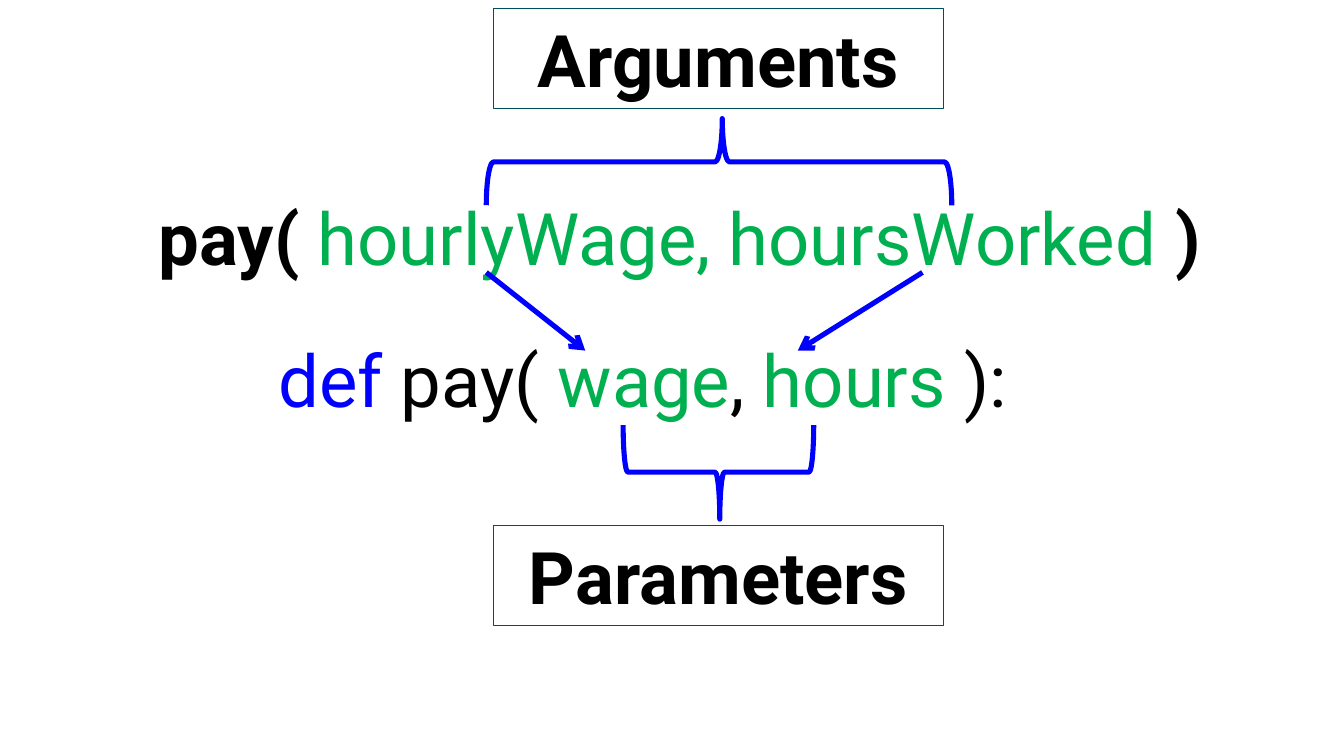
import pptx
import pptx.util
import pptx.dml.color
import pptx.enum.shapes
import pptx.enum.text
import pptx.oxml.ns
from lxml import etree
from pptx.util import Inches

BLUE, GREEN, BLACK, TEAL = "0000FF", "00B050", "000000", "024F59"


def color(code):
    return pptx.dml.color.RGBColor.from_string(code)


class Deck:
    """Holds the text style and the slide being drawn."""

    font, size, stroke = "Roboto", 42.7, 3

    def __init__(self, wide, high):
        self.prs = pptx.Presentation()
        self.prs.slide_width = Inches(wide)
        self.prs.slide_height = Inches(high)
        self.slide = self.prs.slides.add_slide(self.prs.slide_layouts[6])
        self.shapes = self.slide.shapes

    def fill_text(self, frame, parts):
        """Fill a frame with runs given as (text, colour, bold)."""
        frame.word_wrap = True
        frame.auto_size = pptx.enum.text.MSO_AUTO_SIZE.SHAPE_TO_FIT_TEXT
        for text, code, bold in parts:
            run = frame.paragraphs[0].add_run()
            run.text = text
            run.font.name = self.font
            run.font.size = pptx.util.Pt(self.size)
            run.font.bold = bold
            run.font.color.rgb = color(code)

    def code(self, left, top, width, parts):
        box = self.shapes.add_textbox(
            Inches(left), Inches(top), Inches(width), Inches(0.82))
        self.fill_text(box.text_frame, parts)

    def outline(self, kind, left, top, width, height, code, weight):
        """Add an unfilled preset shape."""
        shape = self.shapes.add_shape(
            kind, Inches(left), Inches(top), Inches(width), Inches(height))
        shape.shadow.inherit = False
        shape.fill.background()
        shape.line.color.rgb = color(code)
        shape.line.width = pptx.util.Pt(weight)
        return shape

    def label(self, top, text):
        kind = pptx.enum.shapes.MSO_SHAPE.RECTANGLE
        box = self.outline(kind, 4.04, top, 3.68, 0.82, TEAL, 0.75)
        self.fill_text(box.text_frame, [(text, BLACK, True)])
        box.text_frame.paragraphs[0].alignment = pptx.enum.text.PP_ALIGN.CENTER

    def brace(self, left, top, width, height, turn, curve, point):
        """Add a brace lying on its side; left to height give its visible box."""
        kind = pptx.enum.shapes.MSO_SHAPE.RIGHT_BRACE
        shift = (width - height) / 2
        shape = self.outline(kind, left + shift, top - shift, height, width,
                             BLUE, self.stroke)
        shape.rotation = turn
        shape.adjustments[0] = curve
        shape.adjustments[1] = point

    def arrow(self, start, end):
        line = self.shapes.add_connector(
            pptx.enum.shapes.MSO_CONNECTOR.STRAIGHT,
            *(Inches(n) for n in start + end))
        line.line.color.rgb = color(BLUE)
        line.line.width = pptx.util.Pt(self.stroke)
        qn = pptx.oxml.ns.qn
        props = line._element.spPr
        etree.SubElement(props.find(qn("a:ln")), qn("a:tailEnd"), type="arrow")
        etree.SubElement(props, qn("a:effectLst"))


def main():
    deck = Deck(11, 6)
    deck.code(2.18, 2.69, 6.81, [
        ("def", BLUE, False), (" pay( ", BLACK, False),
        ("wage", GREEN, False), (", ", BLACK, False),
        ("hours ", GREEN, False), ("):", BLACK, False)])
    deck.code(1.2, 1.53, 9.11, [
        ("pay( ", BLACK, True),
        ("hourlyWage, hoursWorked ", GREEN, False), (")", BLACK, True)])
    deck.arrow((3.98, 2.23), (4.79, 2.87))
    deck.arrow((7.55, 2.23), (6.53, 2.87))
    deck.brace(3.98, 0.97, 3.81, 0.71, 270, 0.083, 0.507)
    deck.brace(5.1, 3.48, 1.56, 0.77, 90, 0.05, 0.493)
    deck.label(0.07, "Arguments")
    deck.label(4.3, "Parameters")
    deck.prs.save("out.pptx")


if __name__ == "__main__":
    main()
